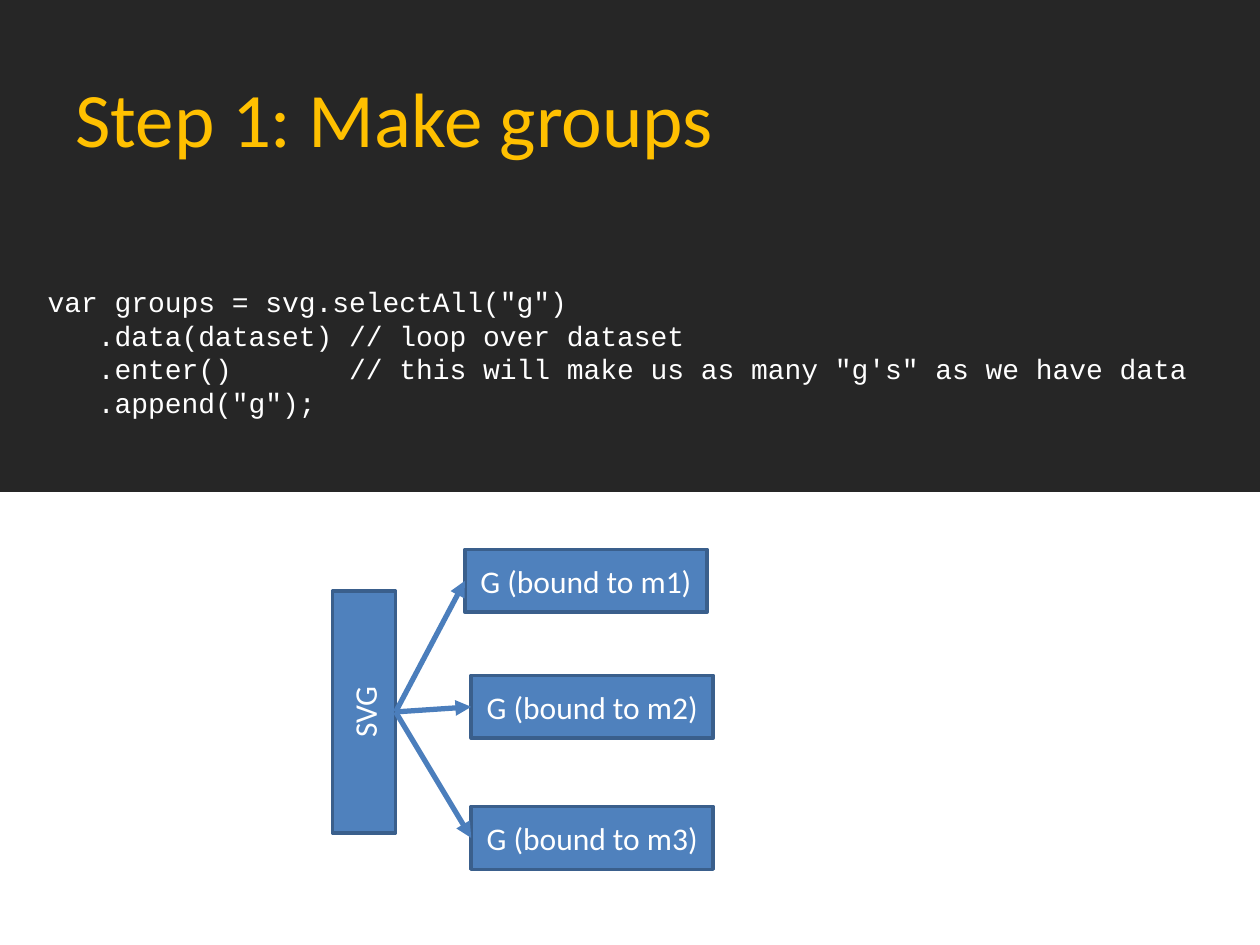
from lxml.etree import SubElement
from pptx import Presentation
from pptx.dml.color import RGBColor
from pptx.enum.shapes import MSO_CONNECTOR, MSO_SHAPE
from pptx.enum.text import MSO_ANCHOR, PP_ALIGN
from pptx.oxml.ns import qn
from pptx.util import Inches, Pt

COLORS = {
    "background": "262626",
    "white": "FFFFFF",
    "title": "FFC000",
    "node": "4F81BD",
    "node_line": "3A5F8C",
    "arrow": "4B7EBC",
}
CODE_LINES = [
    'var groups = svg.selectAll("g")',
    "   .data(dataset) // loop over dataset",
    "   .enter()       // this will make us as many \"g's\" as we have data",
    '   .append("g");',
]
NODE_SIZE = (1.92, 0.5)
GROUP_OFFSETS = [(1.05, 0), (1.1, 1), (1.1, 2.04)]


def color(name):
    """Return the named palette colour."""
    return RGBColor.from_string(COLORS[name])


def style_font(paragraph, name, size, color_name):
    """Set the font of a whole paragraph."""
    paragraph.font.name = name
    paragraph.font.size = Pt(size)
    paragraph.font.color.rgb = color(color_name)


def add_rectangle(slide, box, fill, line):
    """Add a flat rectangle with a two-point outline."""
    shape = slide.shapes.add_shape(MSO_SHAPE.RECTANGLE, *map(Inches, box))
    shape.shadow.inherit = False
    shape.fill.solid()
    shape.fill.fore_color.rgb = color(fill)
    shape.line.color.rgb = color(line)
    shape.line.width = Pt(2)
    return shape


def add_title(slide, box, text):
    """Place and format the title placeholder."""
    title = slide.shapes.title
    title.left, title.top, title.width, title.height = map(Inches, box)
    title.text_frame.text = text
    title.text_frame.vertical_anchor = MSO_ANCHOR.MIDDLE
    paragraph = title.text_frame.paragraphs[0]
    paragraph.alignment = PP_ALIGN.LEFT
    style_font(paragraph, "Calibri", 44, "title")


def add_code(slide, box, lines):
    """Add a code listing, one paragraph a line."""
    frame = slide.shapes.add_textbox(*map(Inches, box)).text_frame
    frame.word_wrap = False
    frame.text = "\n".join(lines)
    for paragraph in frame.paragraphs:
        paragraph.alignment = PP_ALIGN.LEFT
        style_font(paragraph, "Courier New", 16, "white")


def add_node(slide, left, top, text):
    """Add a labelled node of the tree."""
    node = add_rectangle(slide, (left, top, *NODE_SIZE), "node", "node_line")
    frame = node.text_frame
    frame.text = text
    frame.vertical_anchor = MSO_ANCHOR.MIDDLE
    frame.paragraphs[0].alignment = PP_ALIGN.CENTER
    style_font(frame.paragraphs[0], "Calibri", 18, "white")
    return node


def add_arrow(slide, root, group):
    """Join the right side of the turned root to the left side of a group."""
    arrow = slide.shapes.add_connector(MSO_CONNECTOR.STRAIGHT, 0, 0, 0, 0)
    arrow.begin_connect(root, 2)
    arrow.end_connect(group, 1)
    arrow.begin_x = root.left + (root.width + root.height) // 2
    arrow.begin_y = root.top + root.height // 2
    arrow.line.color.rgb = color("arrow")
    arrow.line.width = Pt(3)
    SubElement(arrow.line._get_or_add_ln(), qn("a:tailEnd"), type="triangle")
    SubElement(arrow._element.spPr, qn("a:effectLst"))


def add_tree(slide, box):
    """Draw the SVG root on the left and its bound groups on the right."""
    left, top, _, height = box
    node_width, node_height = NODE_SIZE
    root = add_node(
        slide,
        left + (node_height - node_width) / 2,
        top + (height - node_height) / 2 + 0.02,
        "SVG",
    )
    root.rotation = 270
    groups = [
        add_node(slide, left + x, top + y, f"G (bound to m{number})")
        for number, (x, y) in enumerate(GROUP_OFFSETS, 1)
    ]
    for group in groups:
        add_arrow(slide, root, group)


def build_slide(presentation):
    """Build the slide about making groups."""
    slide = presentation.slides.add_slide(presentation.slide_layouts[5])
    slide.background.fill.solid()
    slide.background.fill.fore_color.rgb = color("background")
    add_rectangle(slide, (0, 3.92, 10, 3.58), "white", "white")
    add_title(slide, (0.5, 0.3, 9, 1.25), "Step 1: Make groups")
    add_code(slide, (0.28, 2.21, 9.4, 1.45), CODE_LINES)
    add_tree(slide, (2.64, 4.36, 2.79, 2.54))


def main():
    """Create and save the presentation."""
    presentation = Presentation()
    presentation.slide_width = Inches(10)
    presentation.slide_height = Inches(7.5)
    build_slide(presentation)
    presentation.save("out.pptx")


if __name__ == "__main__":
    main()
